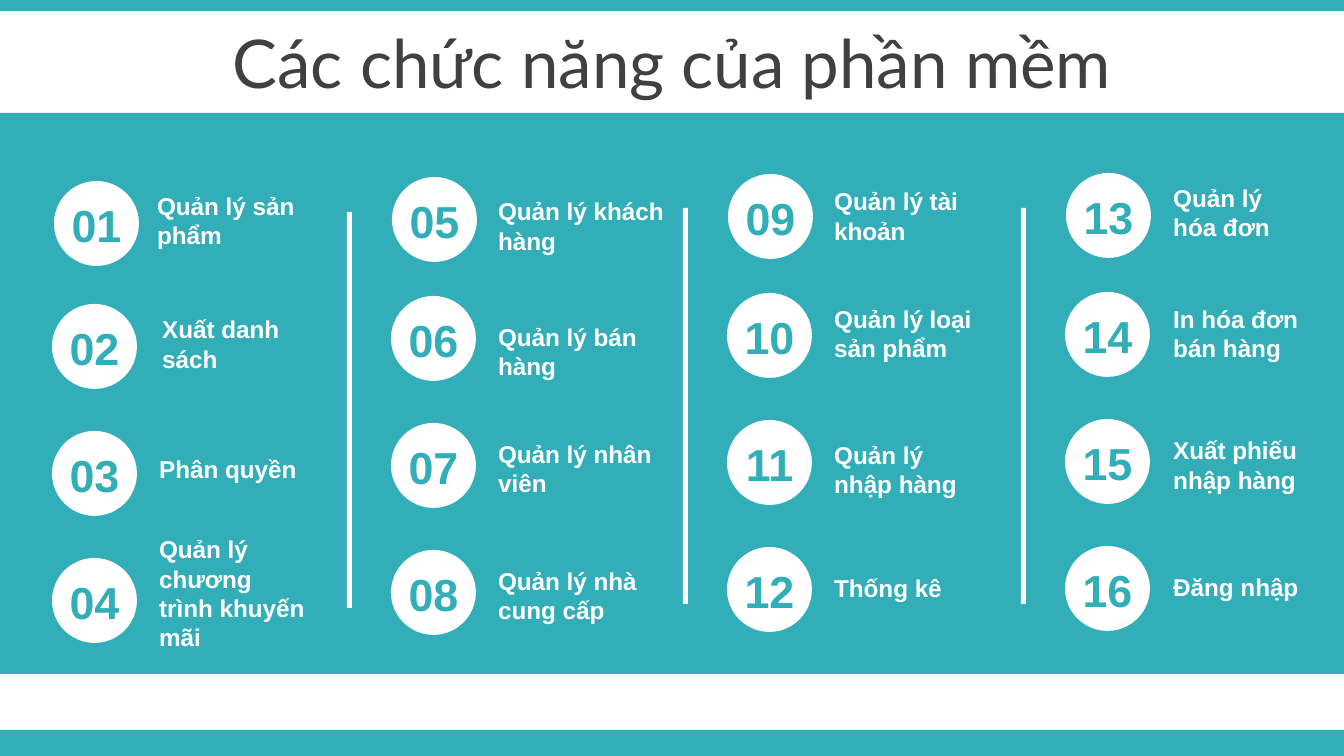
from typing import NamedTuple, Optional

from pptx import Presentation
from pptx.dml.color import RGBColor
from pptx.enum.shapes import MSO_SHAPE
from pptx.enum.text import MSO_ANCHOR, MSO_AUTO_SIZE, PP_ALIGN
from pptx.util import Emu, Pt

PIXELS_PER_INCH = 134.4
SLIDE_WIDTH, SLIDE_HEIGHT = 1344, 756
COLORS = {"teal": "32AEB8", "white": "FFFFFF", "dark": "404040"}

CIRCLE_SIZE = 85
ROW_PITCH = 127
DIVIDER_WIDTH, DIVIDER_HEIGHT = 5, 396


class Box(NamedTuple):
    left: int
    top: int
    width: int
    height: int


class TextStyle(NamedTuple):
    font: str
    size: int
    color: str
    bold: bool = True
    align: PP_ALIGN = PP_ALIGN.LEFT


class Feature(NamedTuple):
    label: str
    top: int
    width: int
    lines: int = 2
    left: Optional[int] = None


class Column(NamedTuple):
    circle_left: int
    first_circle_left: int
    first_circle_top: int
    second_circle_top: int
    label_left: int
    features: list[Feature]


TITLE = TextStyle("Lato", 36, "dark", False, PP_ALIGN.CENTER)
NUMBER = TextStyle("Arial", 24, "teal", align=PP_ALIGN.CENTER)
LABEL = TextStyle("Arial", 13, "white")

BANDS = [
    Box(0, 730, SLIDE_WIDTH, 26),
    Box(0, 0, SLIDE_WIDTH, 11),
    Box(0, 113, SLIDE_WIDTH, 561),
]
DIVIDERS = [(347, 212), (683, 208), (1021, 208)]

COLUMNS = [
    Column(52, 54, 181, 304, 146, [
        Feature("Quản lý sản phẩm", 185, 187, left=144),
        Feature("Xuất danh sách", 308, 184, left=149),
        Feature("Phân quyền", 448, 187, lines=1),
        Feature("Quản lý chương trình khuyến mãi", 528, 176, lines=4),
    ]),
    Column(391, 392, 177, 296, 485, [
        Feature("Quản lý khách hàng", 190, 196),
        Feature("Quản lý bán hàng", 316, 196),
        Feature("Quản lý nhân viên", 433, 196),
        Feature("Quản lý nhà cung cấp", 560, 196),
    ]),
    Column(727, 728, 174, 293, 821, [
        Feature("Quản lý tài khoản", 180, 157),
        Feature("Quản lý loại sản phẩm", 298, 168),
        Feature("Quản lý nhập hàng", 434, 168),
        Feature("Thống kê", 567, 196, lines=1),
    ]),
    Column(1065, 1066, 173, 292, 1160, [
        Feature("Quản lý hóa đơn", 177, 157),
        Feature("In hóa đơn bán hàng", 298, 168),
        Feature("Xuất phiếu nhập hàng", 429, 168),
        Feature("Đăng nhập", 566, 184, lines=1),
    ]),
]


def px(value: int) -> Emu:
    return Emu(round(value * 914400 / PIXELS_PER_INCH))


def add_filled_shape(shapes, kind: MSO_SHAPE, box: Box, color: str) -> None:
    shape = shapes.add_shape(kind, *map(px, box))
    shape.shadow.inherit = False
    shape.fill.solid()
    shape.fill.fore_color.rgb = RGBColor.from_string(COLORS[color])
    shape.line.fill.background()


def add_text(shapes, box: Box, text: str, style: TextStyle):
    text_frame = shapes.add_textbox(*map(px, box)).text_frame
    text_frame.word_wrap = True
    text_frame.text = text
    paragraph = text_frame.paragraphs[0]
    paragraph.alignment = style.align
    font = paragraph.runs[0].font
    font.name = style.font
    font.size = Pt(style.size)
    font.bold = style.bold
    font.color.rgb = RGBColor.from_string(COLORS[style.color])
    return text_frame


def add_badge(shapes, left: int, top: int, number: int) -> None:
    """Group a white circle with its two-digit number."""
    group = shapes.add_group_shape()
    circle = Box(left, top, CIRCLE_SIZE, CIRCLE_SIZE)
    add_filled_shape(group.shapes, MSO_SHAPE.OVAL, circle, "white")
    number_box = Box(left - 5, top + 10, CIRCLE_SIZE + 10, 67)
    add_text(group.shapes, number_box, f"{number:02d}", NUMBER)


def add_column(shapes, column: Column, first_number: int) -> None:
    for row, feature in enumerate(column.features):
        if row == 0:
            left, top = column.first_circle_left, column.first_circle_top
        else:
            left = column.circle_left
            top = column.second_circle_top + (row - 1) * ROW_PITCH
        add_badge(shapes, left, top, first_number + row)

        label_left = feature.left or column.label_left
        label_height = 14 + 59 * feature.lines // 2
        label_box = Box(label_left, feature.top, feature.width, label_height)
        text_frame = add_text(shapes, label_box, feature.label, LABEL)
        text_frame.auto_size = MSO_AUTO_SIZE.SHAPE_TO_FIT_TEXT


def main() -> None:
    presentation = Presentation()
    presentation.slide_width = px(SLIDE_WIDTH)
    presentation.slide_height = px(SLIDE_HEIGHT)
    shapes = presentation.slides.add_slide(presentation.slide_layouts[6]).shapes

    for band in BANDS:
        add_filled_shape(shapes, MSO_SHAPE.RECTANGLE, band, "teal")
    title_box = Box(0, 19, SLIDE_WIDTH, 85)
    title = add_text(shapes, title_box, "Các chức năng của phần mềm", TITLE)
    title.vertical_anchor = MSO_ANCHOR.MIDDLE

    for left, top in DIVIDERS:
        divider = Box(left, top, DIVIDER_WIDTH, DIVIDER_HEIGHT)
        add_filled_shape(shapes, MSO_SHAPE.RECTANGLE, divider, "white")

    first_number = 1
    for column in COLUMNS:
        add_column(shapes, column, first_number)
        first_number += len(column.features)

    presentation.save("out.pptx")


if __name__ == "__main__":
    main()
